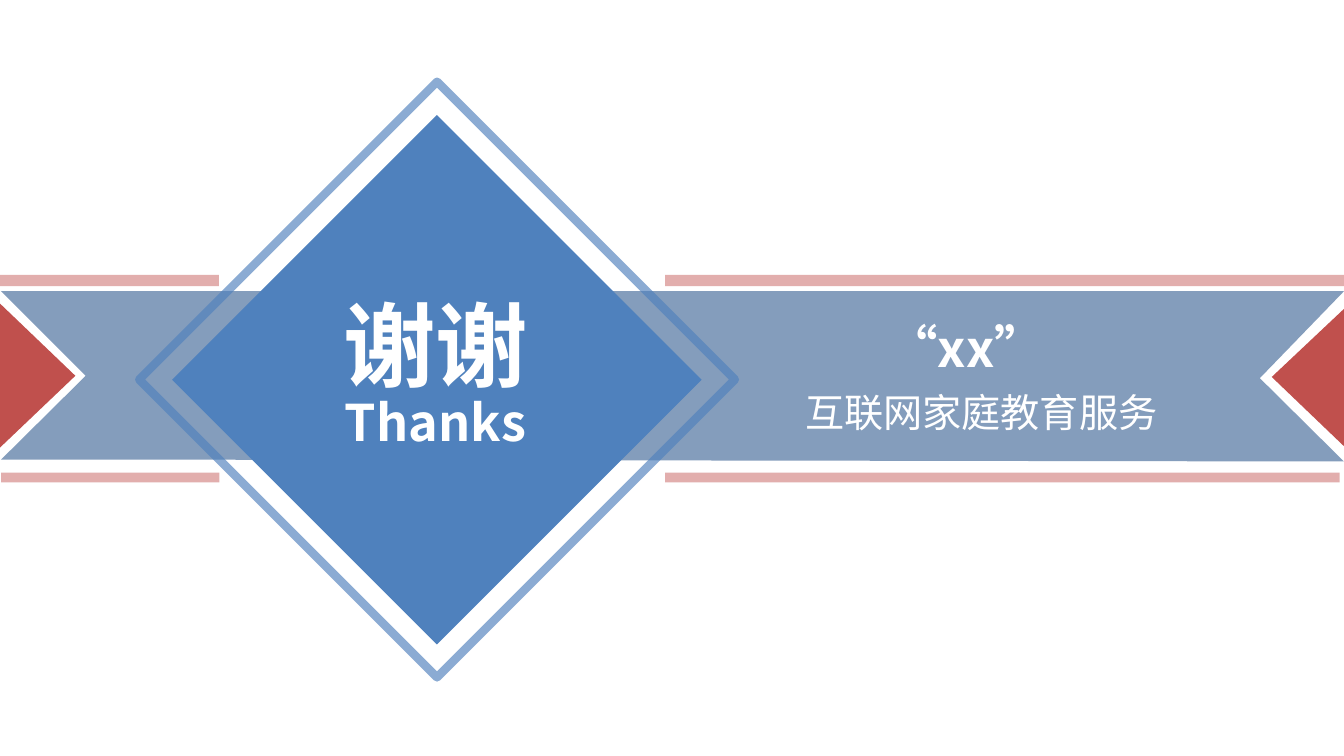
from dataclasses import dataclass

from lxml.etree import SubElement
from pptx import Presentation
from pptx.dml.color import RGBColor
from pptx.enum.shapes import MSO_SHAPE
from pptx.enum.text import MSO_AUTO_SIZE, PP_ALIGN
from pptx.oxml.ns import qn
from pptx.shapes.autoshape import Shape
from pptx.slide import Slide
from pptx.util import Cm, Pt


@dataclass(frozen=True)
class Theme:
    font: str = "Noto Sans CJK SC"
    ribbon: str = "376092"
    red: str = "C0504D"
    blue: str = "4F81BD"
    white: str = "FFFFFF"
    shadow: str = "000000"
    title: int = 66
    heading: int = 36
    body: int = 28


THEME = Theme()


@dataclass(frozen=True)
class Box:
    left: float
    top: float
    width: float
    height: float

    def lengths(self) -> tuple[Cm, Cm, Cm, Cm]:
        return Cm(self.left), Cm(self.top), Cm(self.width), Cm(self.height)


@dataclass(frozen=True)
class Outline:
    points: list[tuple[float, float]]
    color: str
    alpha: int = 100


def set_alpha(fill_parent, percent: int) -> None:
    color = fill_parent.find(qn("a:solidFill"))[0]
    SubElement(color, qn("a:alpha"), val=str(percent * 1000))


def paint(sp: Shape, color: str, alpha: int = 100) -> None:
    sp.shadow.inherit = False
    sp.fill.solid()
    sp.fill.fore_color.rgb = RGBColor.from_string(color)
    sp.line.fill.background()
    if alpha < 100:
        set_alpha(sp._element.spPr, alpha)


def add_outline(s: Slide, outline: Outline) -> None:
    first, *rest = [(Cm(x), Cm(y)) for x, y in outline.points]
    builder = s.shapes.build_freeform(*first)
    builder.add_line_segments(rest, close=True)
    paint(builder.convert_to_shape(), outline.color, outline.alpha)


def add_block(s: Slide, kind: MSO_SHAPE, box: Box, color: str, alpha: int = 100) -> Shape:
    sp = s.shapes.add_shape(kind, *box.lengths())
    paint(sp, color, alpha)
    return sp


def add_frame(s: Slide, box: Box, color: str, width: float, alpha: int) -> None:
    sp = add_block(s, MSO_SHAPE.DIAMOND, box, color)
    sp.fill.background()
    sp.line.color.rgb = RGBColor.from_string(color)
    sp.line.width = Pt(width)
    ln = sp.line._get_or_add_ln()
    set_alpha(ln, alpha)
    SubElement(ln, qn("a:round"))


def add_text(s: Slide, text: str, box: Box, *, size: int, bold: bool = False,
             align: PP_ALIGN = PP_ALIGN.CENTER, wrap: bool = True,
             shadow: bool = False) -> None:
    tf = s.shapes.add_textbox(*box.lengths()).text_frame
    tf.word_wrap = wrap
    tf.auto_size = MSO_AUTO_SIZE.SHAPE_TO_FIT_TEXT
    tf.margin_left = tf.margin_right = Cm(0.35)
    tf.margin_top = tf.margin_bottom = Cm(0.18)
    p = tf.paragraphs[0]
    p.alignment = align
    r = p.add_run()
    r.text = text
    r.font.size = Pt(size)
    r.font.bold = bold
    r.font.color.rgb = RGBColor.from_string(THEME.white)
    rpr = r.font._element
    if shadow:
        effects = SubElement(rpr, qn("a:effectLst"))
        cast = SubElement(effects, qn("a:outerShdw"), blurRad="38100",
                          dist="38100", dir="2700000", algn="tl")
        color = SubElement(cast, qn("a:srgbClr"), val=THEME.shadow)
        SubElement(color, qn("a:alpha"), val="43000")
    for script in ("a:latin", "a:ea"):
        SubElement(rpr, qn(script), typeface=THEME.font)


# Ribbon with notched ends, and the arrowheads that sit in the notches
OUTLINES = [
    Outline([(0.03, 7.34), (33.87, 7.34), (31.75, 9.53), (33.87, 11.63),
             (2.16, 11.58), (0.03, 11.58), (2.16, 9.47)], THEME.ribbon, 61),
    Outline([(0, 7.65), (1.9, 9.47), (0, 11.28)], THEME.red),
    Outline([(33.96, 7.7), (32.05, 9.5), (33.96, 11.33)], THEME.red),
]

# Pale bars above and below the ribbon
BARS = [
    Box(-0.48, 6.93, 6, 0.28),
    Box(16.76, 6.93, 17.5, 0.28),
    Box(0.03, 11.91, 5.5, 0.25),
    Box(16.76, 11.91, 17, 0.25),
]


def main() -> None:
    prs = Presentation()
    prs.slide_width, prs.slide_height = Cm(33.87), Cm(19.05)
    s = prs.slides.add_slide(prs.slide_layouts[6])

    for outline in OUTLINES:
        add_outline(s, outline)

    # Diamond and its frame
    add_block(s, MSO_SHAPE.DIAMOND, Box(4.34, 2.9, 13.34, 13.34), THEME.blue)
    add_frame(s, Box(3.51, 2.06, 15.01, 15.01), THEME.blue, 6, 65)

    # Ribbon text
    add_text(s, " “xx”", Box(18.87, 7.82, 10.67, 1.88), size=THEME.heading, bold=True)
    add_text(s, "互联网家庭教育服务", Box(19.94, 9.6, 9.68, 1.55), size=THEME.body,
             align=PP_ALIGN.LEFT, wrap=False)

    # Diamond text
    add_text(s, "谢谢", Box(5.64, 7.09, 10.67, 3.18), size=THEME.title,
             bold=True, shadow=True)
    add_text(s, "Thanks", Box(5.64, 9.68, 10.67, 1.9), size=THEME.heading,
             bold=True, shadow=True)

    for bar in BARS:
        add_block(s, MSO_SHAPE.RECTANGLE, bar, THEME.red, 46)

    prs.save("out.pptx")


if __name__ == "__main__":
    main()
